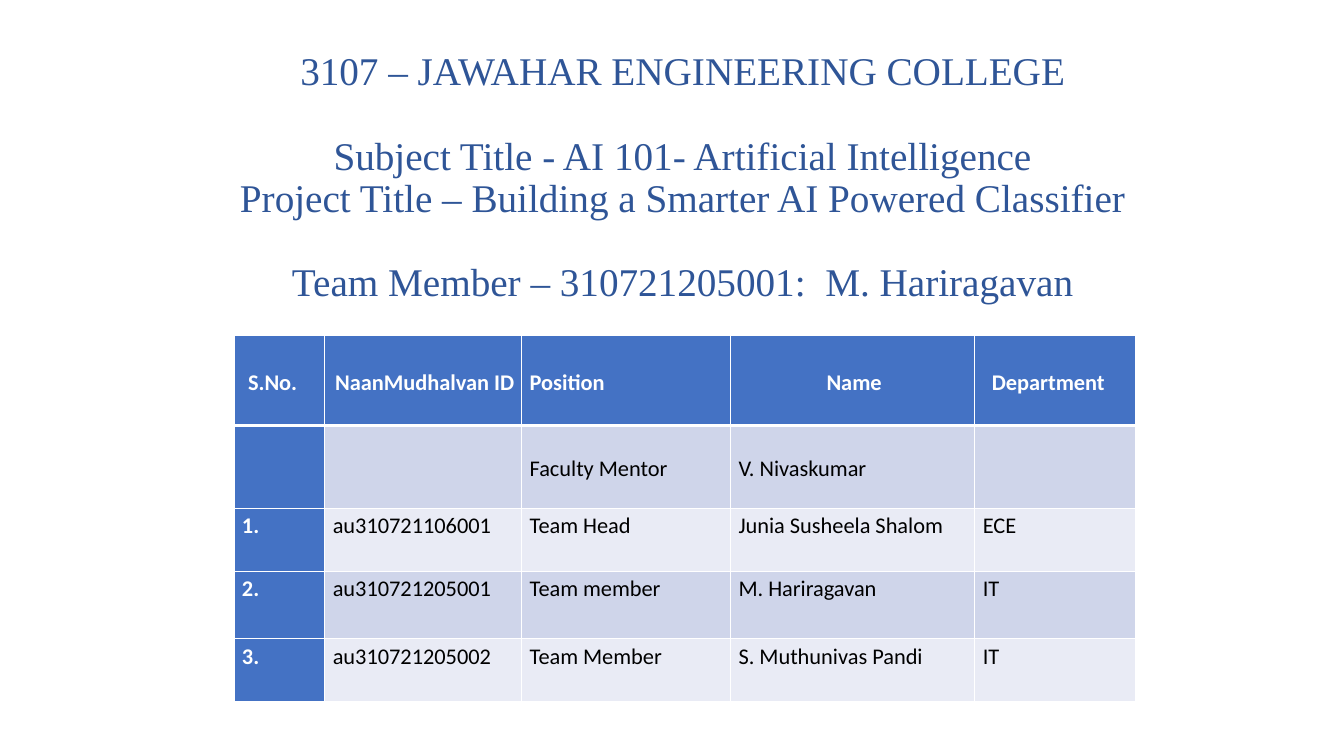
from lxml.etree import SubElement
from pptx import Presentation
from pptx.dml.color import RGBColor
from pptx.enum.text import MSO_ANCHOR as Anchor, MSO_AUTO_SIZE as AutoSize, PP_ALIGN as Align
from pptx.oxml.ns import qn
from pptx.util import Inches, Pt

COLORS = {
    "title": "2F5597",
    "accent": "4472C4",
    "dark_band": "CFD5EA",
    "light_band": "E9EBF5",
    "white": "FFFFFF",
    "black": "000000",
}

# Each title line with the space before it in points
TITLE_LINES = [
    ("3107 – JAWAHAR ENGINEERING COLLEGE", 0),
    ("Subject Title - AI 101- Artificial Intelligence", 30),
    ("Project Title – Building a Smarter AI Powered Classifier", 0),
    ("Team Member – 310721205001:  M. Hariragavan", 30),
]

TEAM = [
    ["S.No.", "NaanMudhalvan ID", "Position", "Name", "Department"],
    ["", "", "Faculty Mentor", "V. Nivaskumar", ""],
    ["1.", "au310721106001", "Team Head", "Junia Susheela Shalom", "ECE"],
    ["2.", "au310721205001", "Team member", "M. Hariragavan", "IT"],
    ["3.", "au310721205002", "Team Member", "S. Muthunivas Pandi", "IT"],
]
COLUMN_WIDTHS = [0.9, 1.95, 2.07, 2.42, 1.59]
ROW_HEIGHTS = [0.89, 0.82, 0.62, 0.67, 0.62]
HEADER_INDENTS = {"S.No.": 0.06, "Department": 0.09}
CENTERED_HEADERS = ("NaanMudhalvan ID", "Name")


def rgb(name):
    return RGBColor.from_string(COLORS[name])


def fill_title(title, left, top, width, height):
    title.left, title.top = Inches(left), Inches(top)
    title.width, title.height = Inches(width), Inches(height)
    frame = title.text_frame
    frame.word_wrap = True
    frame.auto_size = AutoSize.NONE
    frame.vertical_anchor = Anchor.BOTTOM
    frame.text = "\n".join(text for text, _ in TITLE_LINES)
    for line, (_, gap) in zip(frame.paragraphs, TITLE_LINES):
        line.alignment = Align.CENTER
        line.line_spacing = 0.9
        line.space_before = Pt(gap)
        line.font.name = "Times New Roman"
        line.font.size = Pt(28)
        line.font.color.rgb = rgb("title")


def set_borders(cell, top, bottom):
    """Draw white cell borders; widths are in points."""
    properties = cell._tc.get_or_add_tcPr()
    widths = {"a:lnL": 1, "a:lnR": 1, "a:lnT": top, "a:lnB": bottom}
    for side, width in widths.items():
        border = SubElement(properties, qn(side), w=str(Pt(width)))
        fill = SubElement(border, qn("a:solidFill"))
        SubElement(fill, qn("a:srgbClr"), val=COLORS["white"])


def fill_cell(cell, text, row, column):
    is_header = row == 0
    on_accent = is_header or column == 0
    set_borders(cell, top=3 if row == 1 else 1, bottom=3 if is_header else 1)
    cell.fill.solid()
    band = "dark_band" if row % 2 else "light_band"
    cell.fill.fore_color.rgb = rgb("accent" if on_accent else band)
    if not text:
        return

    cell.margin_left = Inches(0.08 + HEADER_INDENTS.get(text, 0))
    cell.margin_right = Inches(0.05)
    cell.margin_top, cell.margin_bottom = Inches(0.02), 0
    cell.vertical_anchor = Anchor.MIDDLE if row < 2 else Anchor.TOP
    cell.text = text
    label = cell.text_frame.paragraphs[0]
    label.alignment = Align.CENTER if text in CENTERED_HEADERS else Align.LEFT
    label.line_spacing = 1.07
    label.font.name = "Calibri"
    label.font.size = Pt(16)
    label.font.bold = on_accent
    label.font.color.rgb = rgb("white" if on_accent else "black")


def add_team_table(slide, left, top, width, height):
    team = slide.shapes.add_table(
        len(TEAM), len(COLUMN_WIDTHS),
        Inches(left), Inches(top), Inches(width), Inches(height),
    ).table
    team.first_col = True
    for column, share in zip(team.columns, COLUMN_WIDTHS):
        column.width = Inches(width * share / sum(COLUMN_WIDTHS))
    for row, share in zip(team.rows, ROW_HEIGHTS):
        row.height = Inches(height * share / sum(ROW_HEIGHTS))
    for r, entries in enumerate(TEAM):
        for c, text in enumerate(entries):
            fill_cell(team.cell(r, c), text, r, c)


def main():
    deck = Presentation()
    deck.slide_width, deck.slide_height = Inches(13.33), Inches(7.5)
    slide = deck.slides.add_slide(deck.slide_layouts[5])

    # College, subject, project and presenter
    fill_title(slide.shapes.title, 1.67, 0.33, 10.2, 2.75)
    # Mentor and team members
    add_team_table(slide, 2.32, 3.33, 8.94, 3.63)

    deck.save("out.pptx")


if __name__ == "__main__":
    main()
